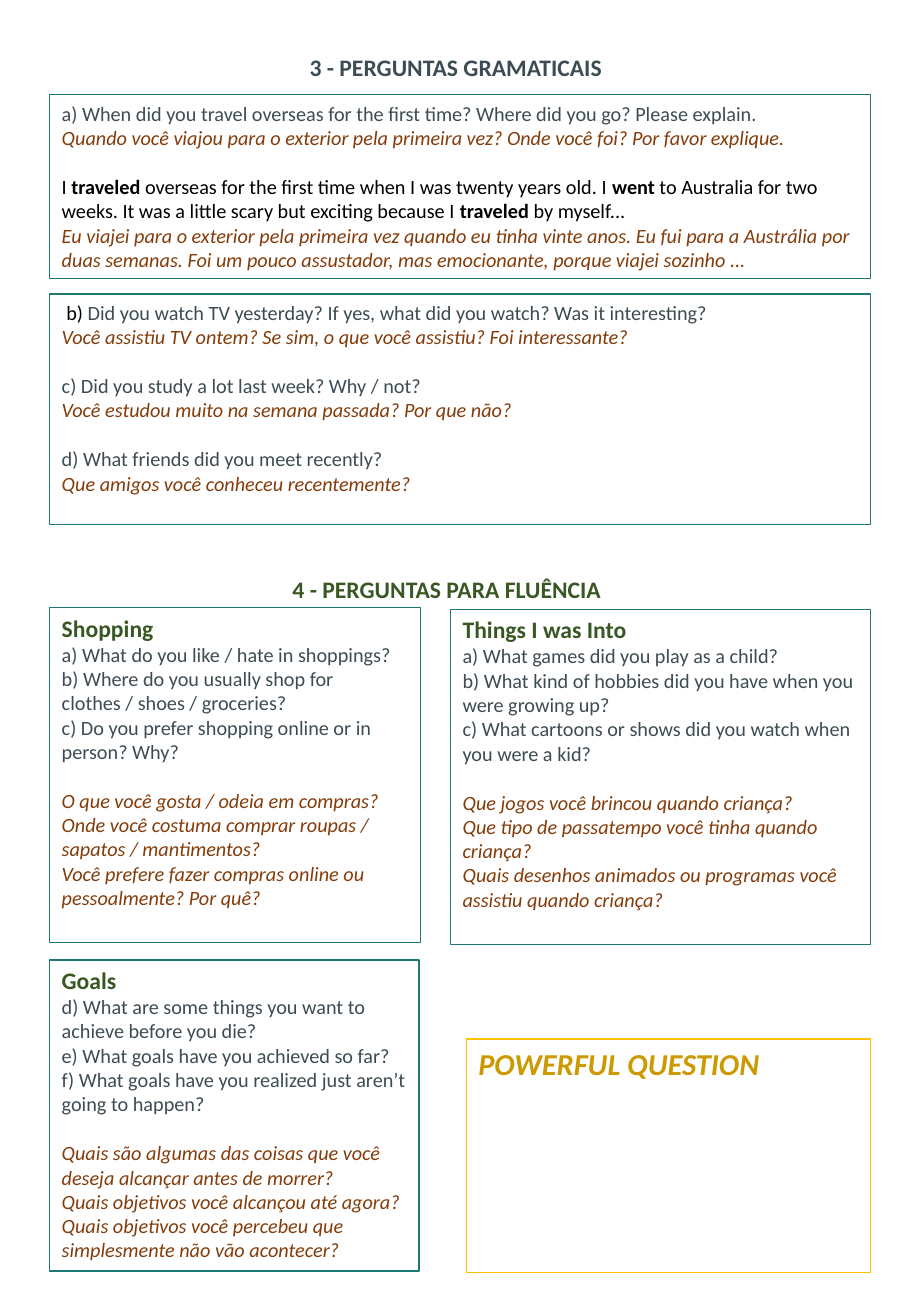
from pptx import Presentation
from pptx.dml.color import RGBColor
from pptx.enum import shapes, text
from pptx.util import Pt

COLOURS = {"slate": "3D4C53", "brown": "843C0B", "black": "000000", "green": "385723",
           "ochre": "CC9900", "teal": "1F7872", "gold": "FFC000"}
STYLES = {
    "english": (12, "slate", False, False),
    "portuguese": (12, "brown", False, True),
    "answer": (12, "black", False, False),
    "verb": (12, "black", True, False),
    "topic": (14, "green", True, False),
    "grammar": (14, "slate", True, False),
    "powerful": (18, "ochre", True, True),
}
LEFT, RIGHT = 29.5, 516.25
BLANK_LINE = 14.65

HEADINGS = [
    (176.4, 28.1, 189.4, "grammar", "3 - PERGUNTAS GRAMATICAIS"),
    (166.3, 337, 198.7, "topic", "4 - PERGUNTAS PARA FLUÊNCIA"),
]

TRAVEL = [
    [[("english", "a) When did you travel overseas for the first time? Where did you go? Please explain.")],
     [("portuguese", "Quando você viajou para o exterior pela primeira vez? Onde você foi? Por favor explique.")]],
    [[("answer", "I "), ("verb", "traveled"),
      ("answer", " overseas for the first time when I was twenty years old. I "), ("verb", "went"),
      ("answer", " to Australia for two weeks. It was a little scary but exciting because I "),
      ("verb", "traveled"), ("answer", " by myself...")],
     [("portuguese", "Eu viajei para o exterior pela primeira vez quando eu tinha vinte anos. Eu fui para a "
       "Austrália por duas semanas. Foi um pouco assustador, mas emocionante, porque viajei sozinho ...")]],
]
PAST = [
    [[("answer", " b) "),
      ("english", "Did you watch TV yesterday? If yes, what did you watch? Was it interesting?")],
     [("portuguese", "Você assistiu TV ontem? Se sim, o que você assistiu? Foi interessante?")]],
    [[("english", "c) Did you study a lot last week? Why / not?")],
     [("portuguese", "Você estudou muito na semana passada? Por que não?")]],
    [[("english", "d) What friends did you meet recently?")],
     [("portuguese", "Que amigos você conheceu recentemente?")]],
]
THINGS = ("Things I was Into",
          ["a) What games did you play as a child?",
           "b) What kind of hobbies did you have when you were growing up?",
           "c) What cartoons or shows did you watch when you were a kid?"],
          ["Que jogos você brincou quando criança?",
           "Que tipo de passatempo você tinha quando criança?",
           "Quais desenhos animados ou programas você assistiu quando criança?"])
SHOPPING = ("Shopping",
            ["a) What do you like / hate in shoppings?",
             "b) Where do you usually shop for clothes / shoes / groceries?",
             "c) Do you prefer shopping online or in person? Why?"],
            ["O que você gosta / odeia em compras?",
             "Onde você costuma comprar roupas / sapatos / mantimentos?",
             "Você prefere fazer compras online ou pessoalmente? Por quê?"])
GOALS = ("Goals",
         ["d) What are some things you want to achieve before you die?",
          "e) What goals have you achieved so far?",
          "f) What goals have you realized just aren’t going to happen?"],
         ["Quais são algumas das coisas que você deseja alcançar antes de morrer?",
          "Quais objetivos você alcançou até agora?",
          "Quais objetivos você percebeu que simplesmente não vão acontecer?"])
POWERFUL = [[[("powerful", "POWERFUL QUESTION")]]]


def topic_groups(topic):
    title, questions, translations = topic
    return [[[("topic", title)]] + [[("english", line)] for line in questions],
            [[("portuguese", line)] for line in translations]]


CARDS = [
    (LEFT, RIGHT, 56.2, 108.7, "teal", TRAVEL),
    (LEFT, RIGHT, 174.2, 136.8, "teal", PAST),
    (267.1, RIGHT, 361, 198.7, "teal", topic_groups(THINGS)),
    (LEFT, 249.1, 360, 198.7, "teal", topic_groups(SHOPPING)),
    (LEFT, 248.4, 568.8, 184.3, "teal", topic_groups(GOALS)),
    (276.5, RIGHT, 615.6, 138.2, "gold", POWERFUL),
]


def colour(name):
    return RGBColor.from_string(COLOURS[name])


def write(frame, groups):
    first = True
    for group in groups:
        for index, spans in enumerate(group):
            para = frame.paragraphs[0] if first else frame.add_paragraph()
            para.alignment = text.PP_ALIGN.LEFT
            if index == 0 and not first:
                para.space_before = Pt(BLANK_LINE)
            first = False
            for style, words in spans:
                size, shade, bold, italic = STYLES[style]
                span = para.add_run()
                span.text = words
                font = span.font
                font.name, font.size, font.bold, font.italic = "Calibri", Pt(size), bold, italic
                font.color.rgb = colour(shade)


def add_card(page, left, right, top, height, outline, groups):
    box = page.shapes.add_shape(shapes.MSO_SHAPE.RECTANGLE, Pt(left), Pt(top), Pt(right - left), Pt(height))
    box.shadow.inherit = False
    box.fill.background()
    box.line.color.rgb = colour(outline)
    box.line.width = Pt(0.75)
    box.text_frame.word_wrap = True
    box.text_frame.vertical_anchor = text.MSO_ANCHOR.TOP
    write(box.text_frame, groups)


def add_heading(page, left, top, width, style, words):
    box = page.shapes.add_textbox(Pt(left), Pt(top), Pt(width), Pt(24.5))
    box.text_frame.word_wrap = False
    write(box.text_frame, [[[(style, words)]]])


def main():
    deck = Presentation()
    deck.slide_width, deck.slide_height = Pt(540), Pt(779.76)
    page = deck.slides.add_slide(deck.slide_layouts[6])
    for card in CARDS:
        add_card(page, *card)
    for heading in HEADINGS:
        add_heading(page, *heading)
    deck.save("out.pptx")


if __name__ == "__main__":
    main()
